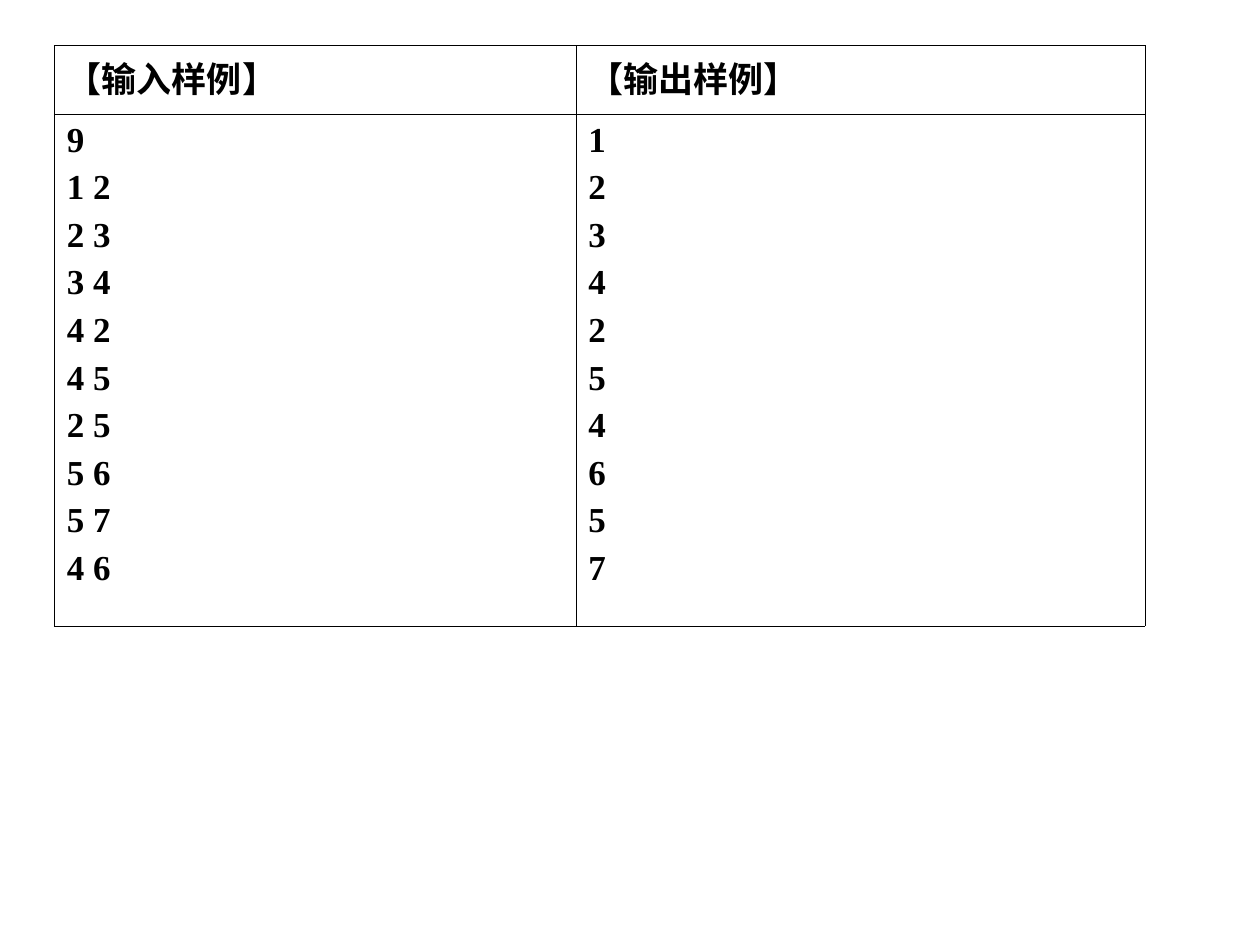
import pptx
import pptx.dml.color
import pptx.oxml.ns
import pptx.util
from lxml import etree

BLACK = pptx.dml.color.RGBColor(0, 0, 0)
HEADING_FONT = "Noto Sans CJK SC"
DATA_FONT = "Times New Roman"
COLUMN_WIDTHS = (4.14, 4.52)
ROW_HEIGHTS = (0.55, 4.06)
BORDER_WIDTH = pptx.util.Pt(0.23)
qn = pptx.oxml.ns.qn

samples = [
    ("【输入样例】", ["9", "1 2", "2 3", "3 4", "4 2", "4 5", "2 5", "5 6", "5 7", "4 6"]),
    ("【输出样例】", ["1", "2", "3", "4", "2", "5", "4", "6", "5", "7"]),
]


def fill_cell(cell, lines, typeface):
    """Write one paragraph per line and draw thin borders on an unfilled cell."""
    cell.text = "\n".join(lines)
    for index, paragraph in enumerate(cell.text_frame.paragraphs):
        paragraph.space_before = pptx.util.Pt(5 if index else 0)
        paragraph.font.name = typeface
        paragraph.font.size = pptx.util.Pt(20)
        paragraph.font.bold = True
        paragraph.font.color.rgb = BLACK
        defaults = paragraph._p.pPr.find(qn("a:defRPr"))
        etree.SubElement(defaults, qn("a:ea"), typeface=typeface)
    properties = cell._tc.get_or_add_tcPr()
    for side in ("a:lnL", "a:lnR", "a:lnT", "a:lnB"):
        border = etree.SubElement(properties, qn(side), w=str(int(BORDER_WIDTH)))
        line_fill = etree.SubElement(border, qn("a:solidFill"))
        etree.SubElement(line_fill, qn("a:srgbClr"), val=str(BLACK))
    cell.fill.background()


presentation = pptx.Presentation()
presentation.slide_width = pptx.util.Inches(10)
presentation.slide_height = pptx.util.Inches(7.5)
slide = presentation.slides.add_slide(presentation.slide_layouts[6])

sample_table = slide.shapes.add_table(
    len(ROW_HEIGHTS), len(COLUMN_WIDTHS),
    pptx.util.Inches(0.43), pptx.util.Inches(0.36),
    pptx.util.Inches(sum(COLUMN_WIDTHS)), pptx.util.Inches(sum(ROW_HEIGHTS)),
).table
sample_table.first_row = False
sample_table.horz_banding = False
for row, height in zip(sample_table.rows, ROW_HEIGHTS):
    row.height = pptx.util.Inches(height)

for column, (heading, data) in enumerate(samples):
    sample_table.columns[column].width = pptx.util.Inches(COLUMN_WIDTHS[column])
    fill_cell(sample_table.cell(0, column), [heading], HEADING_FONT)
    fill_cell(sample_table.cell(1, column), data, DATA_FONT)

presentation.save("out.pptx")
